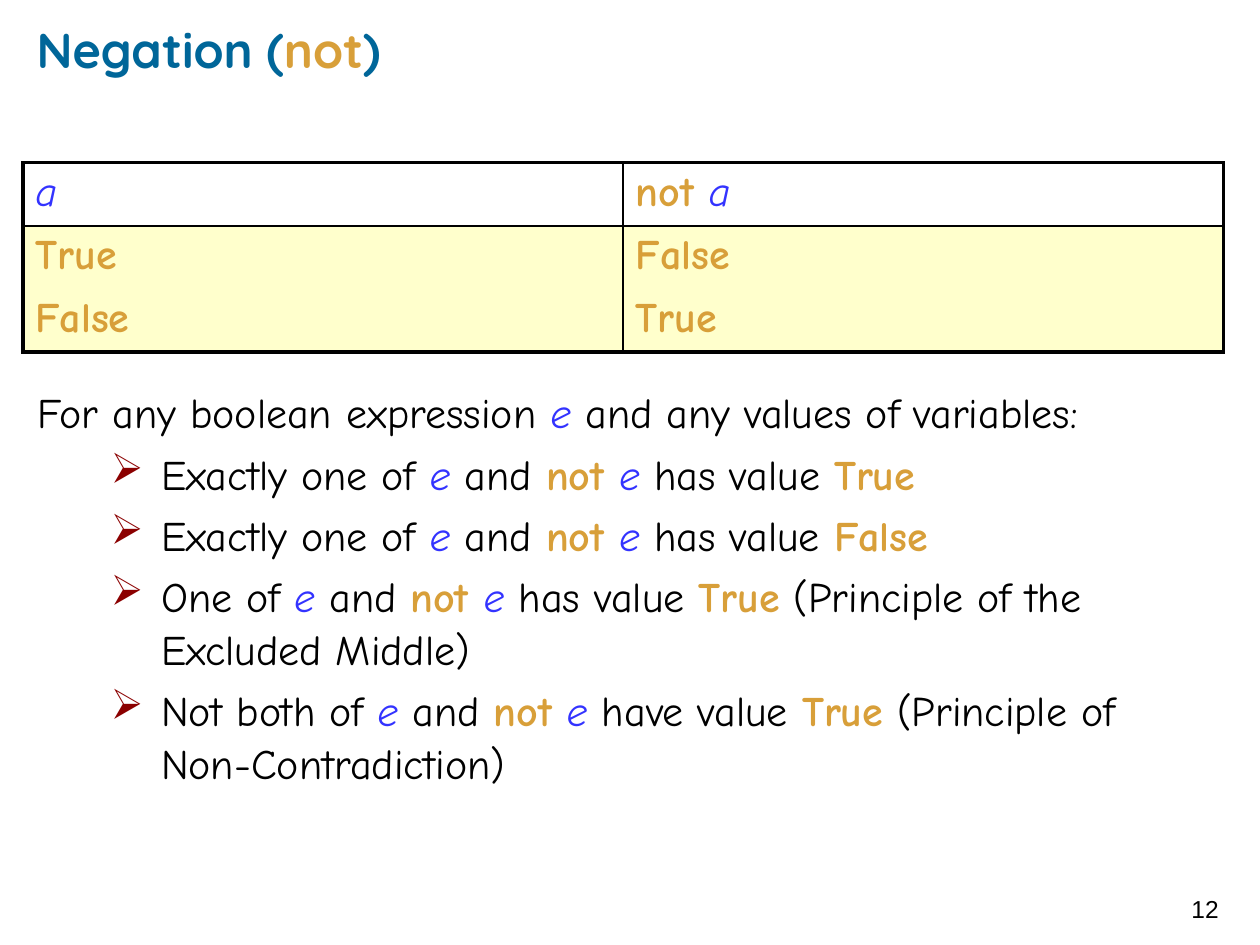
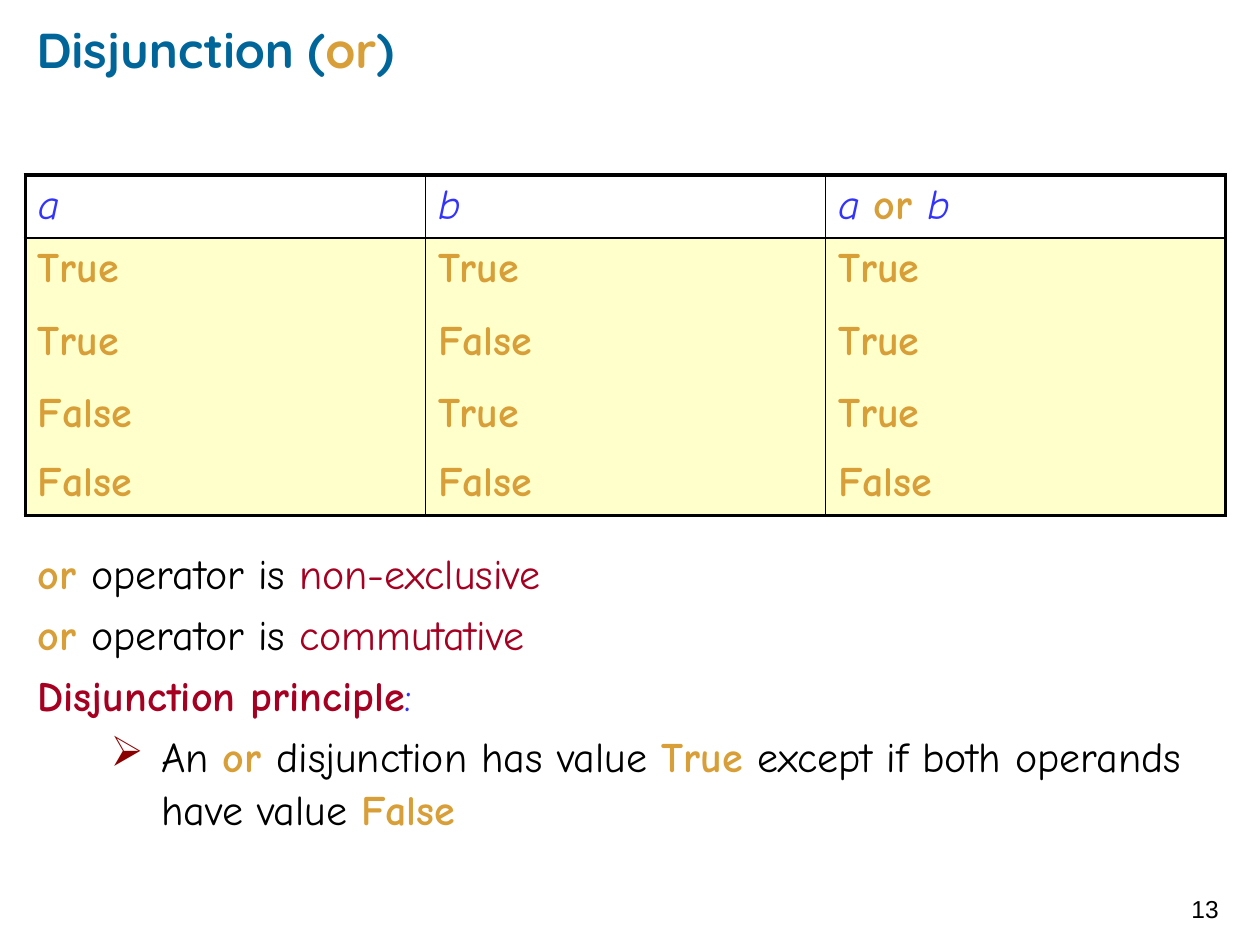
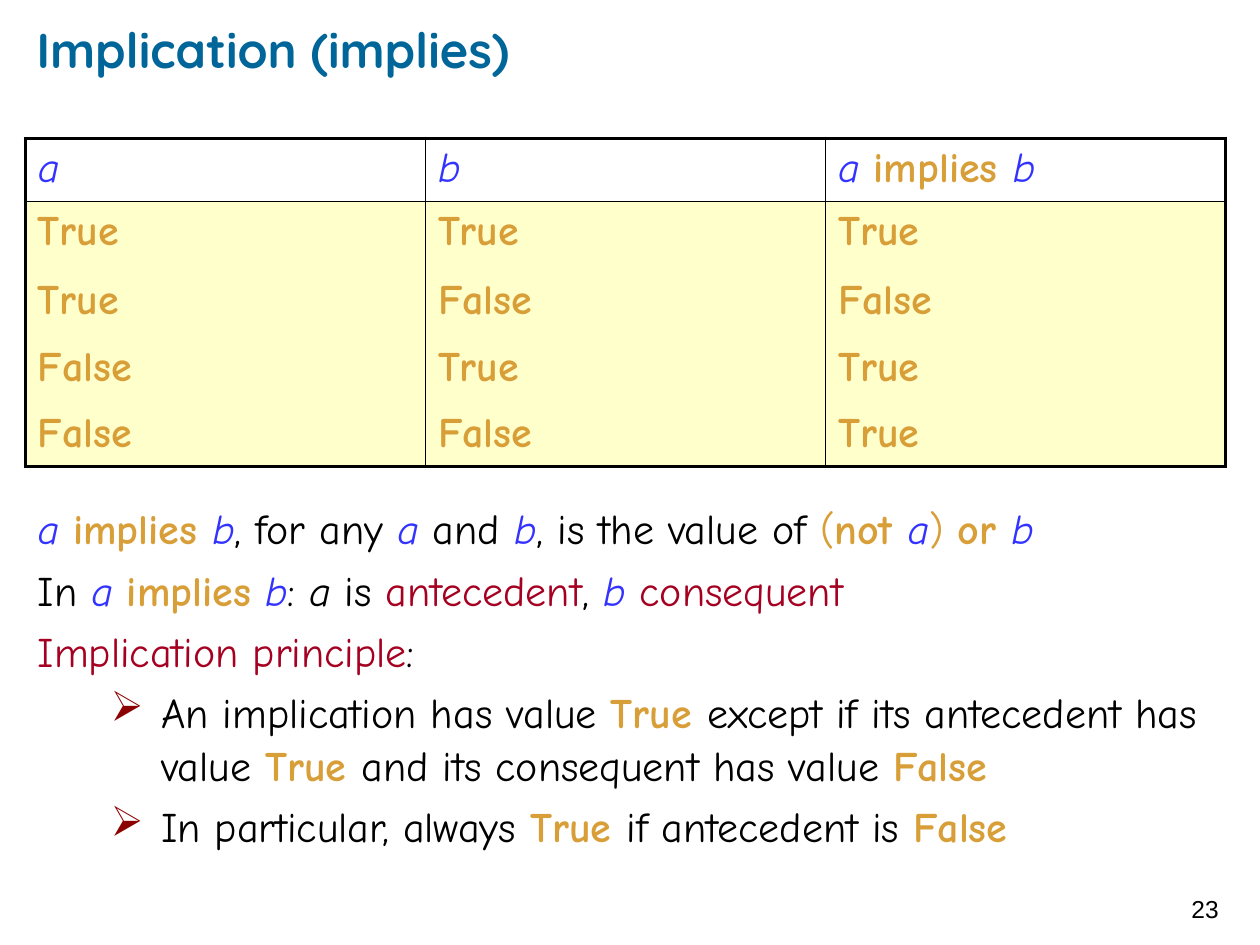
from lxml import etree
from pptx import Presentation
from pptx.dml.color import RGBColor
from pptx.enum import text as t
from pptx.oxml import ns
from pptx.util import Cm, Pt

BLUE = RGBColor(0x00, 0x66, 0x99)
GOLD = RGBColor(0xD8, 0x9F, 0x39)
VIOLET = RGBColor(0x33, 0x33, 0xFF)
RED = RGBColor(0xA5, 0x00, 0x21)
MAROON = RGBColor(0x8B, 0x00, 0x00)
CREAM = RGBColor(0xFF, 0xFF, 0xCC)
WHITE = RGBColor(0xFF, 0xFF, 0xFF)
BLACK = RGBColor(0x00, 0x00, 0x00)

MARKS = {
    "_": (VIOLET, False, True),
    "*": (GOLD, True, False),
    "!": (RED, False, False),
    "#": (RED, True, False),
    "~": (GOLD, False, False),
    "@": (VIOLET, False, False),
    "%": (BLACK, False, True),
    "=": (BLUE, True, False),
}
TITLE = {"name": "Quicksand", "size": Pt(28)}
BODY = {"name": "Comic Neue", "size": Pt(24)}
PAGE = {"name": "Arial", "size": Pt(14)}

SLIDES = [
    {
        "page": "12",
        "title": "=Negation (|*not|=)",
        "left": 0.46, "top": 3.28,
        "rows": [1.23, 1.23, 1.23],
        "head": ["_a", "*not |_a"],
        "truth": ["TF", "FT"],
        "text": (7.62, 10.11),
        "lines": [
            "For any boolean expression |_e| and any values of variables:",
            ">Exactly one of |_e| and |*not |_e| has value |*True",
            ">Exactly one of |_e| and |*not |_e |has value |*False",
            ">One of |_e| and |*not |_e| has value |*True| (Principle of the Excluded Middle)",
            ">Not both of |_e| and |*not |_e| have value |*True| (Principle of Non-Contradiction)",
        ],
    },
    {
        "page": "13",
        "title": "=Disjunction (|*or|=)",
        "left": 0.51, "top": 3.53,
        "rows": [1.23, 1.47, 1.45, 1.4, 1.23],
        "head": ["_a", "_b", "_a |*or |_b"],
        "truth": ["TTT", "TFT", "FTT", "FFF"],
        "text": (10.85, 6.88),
        "lines": [
            "*or |operator is |!non-exclusive",
            "*or |operator is |!commutative",
            "#Disjunction principle|@:",
            ">An |*or |disjunction has value |*True |except if both operands have value |*False",
        ],
    },
    {
        "page": "23",
        "title": "=Implication (implies)",
        "left": 0.51, "top": 2.79,
        "rows": [1.23, 1.4, 1.35, 1.32, 1.23],
        "head": ["_a", "_b", "_a |*implies |_b"],
        "truth": ["TTT", "TFF", "FTT", "FFT"],
        "text": (9.96, 8.53),
        "lines": [
            "_a |*implies |_b|, for any |_a |and |_b|, is the value of |~(|*not |_a|~) |*or |_b",
            "In |_a |*implies|_ b|:|% a |is |!antecedent|, |_b |!consequent",
            "!Implication principle|:",
            ">An implication has value |*True |except if its antecedent has value "
            "|*True |and its consequent has value |*False",
            ">In particular, always |*True |if antecedent is |*False",
        ],
    },
]


def write(para, line, form):
    for piece in line.split("|"):
        color, bold, slant = MARKS.get(piece[0], (BLACK, False, False))
        run = para.add_run()
        run.text = piece[1:] if piece[0] in MARKS else piece
        look = {**form, "bold": bold, "italic": slant}
        for key, value in look.items():
            setattr(run.font, key, value)
        run.font.color.rgb = color


def place(slide, box, pad, anchor):
    frame = slide.shapes.add_textbox(*map(Cm, box)).text_frame
    across, down = map(Cm, pad)
    form = {
        "word_wrap": True, "vertical_anchor": anchor,
        "margin_left": across, "margin_right": across,
        "margin_top": down, "margin_bottom": down,
    }
    for key, value in form.items():
        setattr(frame, key, value)
    return frame


deck = Presentation()
deck.slide_width, deck.slide_height = Cm(25.4), Cm(19.05)

for data in SLIDES:
    slide = deck.slides.add_slide(deck.slide_layouts[6])
    title = place(slide, (0.74, 0.33, 22.76, 1.3), (0, 0), t.MSO_ANCHOR.MIDDLE)
    write(title.paragraphs[0], data["title"], TITLE)

    top, high = data["text"]
    body = place(slide, (0.51, top, 24.2, high), (0.25, 0.13), t.MSO_ANCHOR.TOP)
    for num, line in enumerate(data["lines"]):
        para = body.add_paragraph() if num else body.paragraphs[0]
        if line.startswith(">"):
            props = para._p.get_or_add_pPr()
            for key, value in {"marL": 0.98, "indent": -0.4}.items():
                props.set(key, str(Cm(value * 2.54)))
            props.set("lvl", "1")
            tint = etree.SubElement(props, ns.qn("a:buClr"))
            etree.SubElement(tint, ns.qn("a:srgbClr"), val=str(MAROON))
            etree.SubElement(props, ns.qn("a:buChar"), char="➢")
        para.line_spacing = 1.05
        if num:
            para.space_before = Pt(4.8)
        write(para, line.lstrip(">"), BODY)

    words = {"T": "*True", "F": "*False"}
    grid = [data["head"]] + [[words[mark] for mark in row] for row in data["truth"]]
    last, end = len(grid) - 1, len(data["head"]) - 1
    table = slide.shapes.add_table(
        last + 1, end + 1, Cm(data["left"]), Cm(data["top"]),
        Cm(24.2), Cm(sum(data["rows"]))).table
    table.horz_banding = False
    for col in table.columns:
        col.width = Cm(24.2 / (end + 1))
    for r, row in enumerate(grid):
        table.rows[r].height = Cm(data["rows"][r])
        for c, line in enumerate(row):
            cell = table.cell(r, c)
            write(cell.text_frame.paragraphs[0], line, BODY)
            sides = {
                "L": 1 if c else 2.25,
                "R": 1 if c < end else 2.25,
                "T": {0: 2.25, 1: 1}.get(r, 0),
                "B": {0: 1, last: 2.25}.get(r, 0),
            }
            props = cell._tc.get_or_add_tcPr()
            for side, width in sides.items():
                edge = etree.SubElement(props, ns.qn("a:ln" + side), w=str(Pt(width)))
                fill = etree.SubElement(edge, ns.qn("a:solidFill" if width else "a:noFill"))
                if width:
                    etree.SubElement(fill, ns.qn("a:srgbClr"), val=str(BLACK))
            cell.fill.solid()
            cell.fill.fore_color.rgb = CREAM if r else WHITE

    page = place(slide, (23.77, 17.6, 1.52, 1.45), (0.25, 0.25), t.MSO_ANCHOR.MIDDLE)
    write(page.paragraphs[0], data["page"], PAGE)

deck.save("out.pptx")
